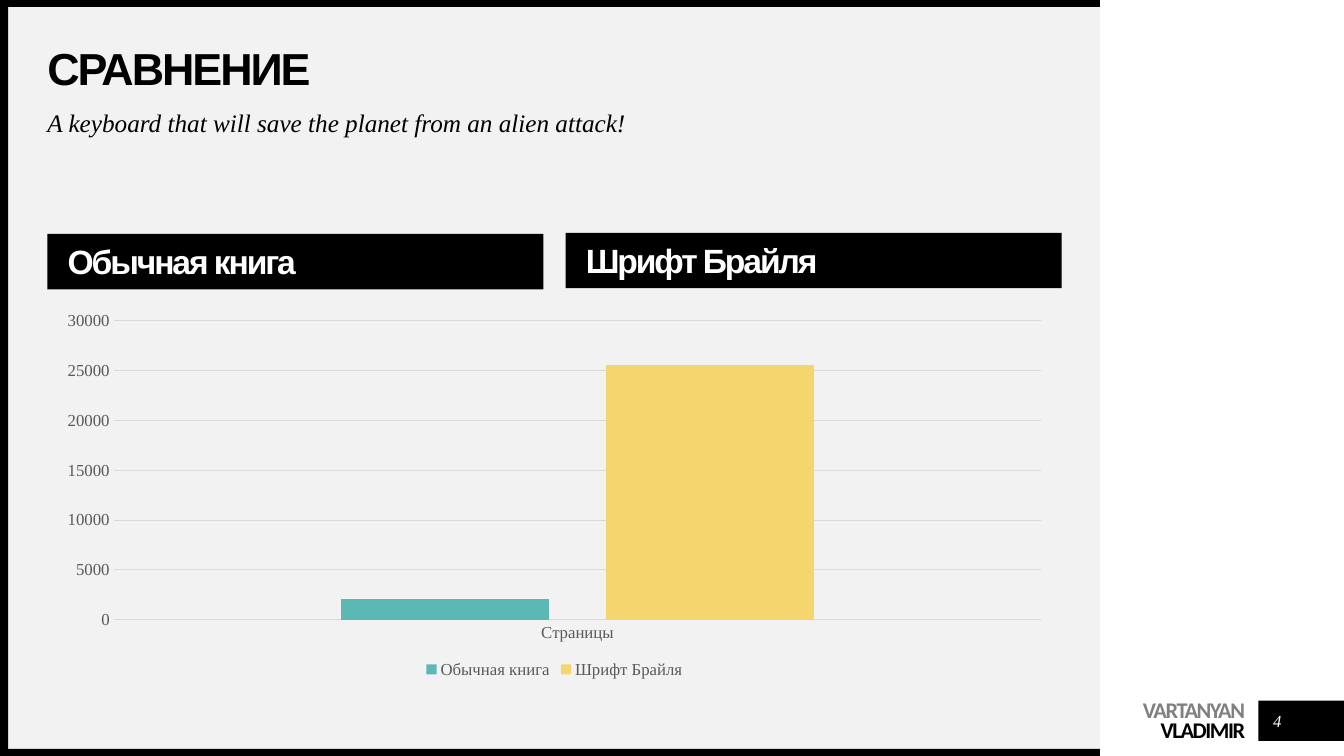
import pptx
import pptx.chart.data
import pptx.dml.color
import pptx.enum.chart
import pptx.enum.shapes
import pptx.enum.text
import pptx.util
from dataclasses import dataclass

Inches = pptx.util.Inches
Pt = pptx.util.Pt
ALIGN = pptx.enum.text.PP_ALIGN
ANCHOR = pptx.enum.text.MSO_ANCHOR


@dataclass(frozen=True)
class Theme:
    black: str = "000000"
    white: str = "FFFFFF"
    panel: str = "F2F2F2"
    muted: str = "808080"
    axis_text: str = "595959"
    grid: str = "D9D9D9"
    series: tuple = ("5CB8B3", "F5D66E")
    heading_font: str = "Arial"
    body_font: str = "Times New Roman"
    author_font: str = "Calibri"
    title_size: int = 32
    label_size: int = 24
    subtitle_size: int = 18
    author_size: int = 16
    small_size: int = 12
    tight: float = -1.5


THEME = Theme()
BOOKS = ("Обычная книга", "Шрифт Брайля")
PAGES = (2100, 25600)
SLIDE_W, SLIDE_H = 13.33, 7.5
PANEL_W = 10.91
EDGE = 0.07
CONTENT = (0.47, 0.47, 10.06, 6.3)


def rgb(value):
    return pptx.dml.color.RGBColor.from_string(value)


def add_block(slide, box, color):
    block = slide.shapes.add_shape(
        pptx.enum.shapes.MSO_SHAPE.RECTANGLE, *map(Inches, box))
    block.shadow.inherit = False
    block.fill.solid()
    block.fill.fore_color.rgb = rgb(color)
    block.line.fill.background()
    return block


def add_text_box(slide, box):
    return slide.shapes.add_textbox(*map(Inches, box))


def prepare_frame(shape, anchor=ANCHOR.TOP, left=0, top=0):
    frame = shape.text_frame
    frame.word_wrap = True
    frame.vertical_anchor = anchor
    frame.margin_left, frame.margin_top = Inches(left), Inches(top)
    frame.margin_right = frame.margin_bottom = 0
    return frame


def add_run(paragraph, text, font, size, color, bold=False, italic=False, spacing=0):
    run = paragraph.add_run()
    run.text = text
    run.font.name = font
    run.font.size = Pt(size)
    run.font.color.rgb = rgb(color)
    run.font.bold = bold
    run.font.italic = italic
    if spacing:
        run.font._element.set("spc", str(int(spacing * 100)))


def add_frame(slide):
    """Grey panel with black edges on three sides."""
    add_block(slide, (EDGE, EDGE, PANEL_W - EDGE, SLIDE_H - 2 * EDGE), THEME.panel)
    for edge in ((0, 0, PANEL_W, EDGE),
                 (0, SLIDE_H - EDGE, PANEL_W, EDGE),
                 (0, 0, 0.08, SLIDE_H)):
        add_block(slide, edge, THEME.black)


def add_footer(slide, box):
    """Author name beside the page number."""
    left, top, width, height = box
    author = prepare_frame(add_text_box(slide, (left, top, 1.82, height)), top=0.04)
    names = (("VARTANYAN", THEME.muted), ("VLADIMIR", THEME.black))
    for index, (name, color) in enumerate(names):
        line = author.add_paragraph() if index else author.paragraphs[0]
        line.alignment = ALIGN.RIGHT
        line.line_spacing = Pt(14)
        add_run(line, name, THEME.author_font, THEME.author_size, color,
                bold=True, spacing=-1)

    add_block(slide, (left + 1.95, top + 0.01, width - 1.95, 0.4), THEME.black)
    number_box = add_text_box(slide, (left + 1.99, top + 0.06, 0.3, 0.3))
    number = prepare_frame(number_box, ANCHOR.MIDDLE).paragraphs[0]
    number.alignment = ALIGN.CENTER
    add_run(number, "4", THEME.body_font, THEME.small_size, THEME.white, italic=True)


def add_heading(slide, box):
    """Title and subtitle."""
    left, top, width, _ = box
    title_box = add_text_box(slide, (left, top, width, 0.47))
    title = prepare_frame(title_box, ANCHOR.MIDDLE).paragraphs[0]
    title.line_spacing = 0.9
    add_run(title, "СРАВНЕНИЕ", THEME.heading_font, THEME.title_size, THEME.black,
            bold=True, spacing=THEME.tight)

    subtitle_box = add_text_box(slide, (left, top + 0.63, width, 0.39))
    subtitle = prepare_frame(subtitle_box).paragraphs[0]
    subtitle.line_spacing = 0.9
    add_run(subtitle, "A keyboard that will save the planet from an alien attack!",
            THEME.body_font, THEME.subtitle_size, THEME.black, italic=True)


def add_book_label(slide, box, book):
    """Black band naming one kind of book."""
    band = add_block(slide, box, THEME.black)
    label = prepare_frame(band, ANCHOR.MIDDLE, left=0.2, top=0.04).paragraphs[0]
    label.alignment = ALIGN.LEFT
    label.line_spacing = 0.9
    add_run(label, book, THEME.heading_font, THEME.label_size, THEME.white,
            bold=True, spacing=THEME.tight)


def style_chart_font(font):
    font.name = THEME.body_font
    font.size = Pt(THEME.small_size)
    font.color.rgb = rgb(THEME.axis_text)


def style_line(line):
    line.color.rgb = rgb(THEME.grid)
    line.width = Pt(0.75)


def add_pages_chart(slide, box):
    """Column chart comparing page counts."""
    data = pptx.chart.data.CategoryChartData()
    data.categories = ["Страницы"]
    for book, pages in zip(BOOKS, PAGES):
        data.add_series(book, [pages])
    chart = slide.shapes.add_chart(
        pptx.enum.chart.XL_CHART_TYPE.COLUMN_CLUSTERED, *map(Inches, box), data).chart
    chart.has_title = False
    style_chart_font(chart.font)

    plot = chart.plots[0]
    plot.vary_by_categories = False
    plot.gap_width, plot.overlap = 219, -27
    for series, color in zip(plot.series, THEME.series):
        series.format.fill.solid()
        series.format.fill.fore_color.rgb = rgb(color)

    for axis in (chart.category_axis, chart.value_axis):
        axis.major_tick_mark = pptx.enum.chart.XL_TICK_MARK.NONE
        axis.minor_tick_mark = pptx.enum.chart.XL_TICK_MARK.NONE
        style_chart_font(axis.tick_labels.font)
    style_line(chart.category_axis.format.line)
    scale = chart.value_axis
    scale.minimum_scale, scale.maximum_scale, scale.major_unit = 0, 30000, 5000
    scale.format.line.fill.background()
    style_line(scale.major_gridlines.format.line)

    chart.has_legend = True
    chart.legend.position = pptx.enum.chart.XL_LEGEND_POSITION.BOTTOM
    chart.legend.include_in_layout = False
    style_chart_font(chart.legend.font)


def add_comparison(slide, box):
    """Heading, one label per book and the chart below."""
    left, top, width, height = box
    add_heading(slide, box)
    label_w = 4.92
    step = width - label_w
    for index, book in enumerate(BOOKS):
        label_top = top + 1.85 - 0.01 * index
        add_book_label(slide, (left + index * step, label_top, label_w, 0.55), book)
    add_pages_chart(slide, (left, top + 2.55, width, height - 2.55))


def main():
    deck = pptx.Presentation()
    deck.slide_width, deck.slide_height = Inches(SLIDE_W), Inches(SLIDE_H)
    slide = deck.slides.add_slide(deck.slide_layouts[6])
    add_frame(slide)
    add_footer(slide, (10.53, 6.94, SLIDE_W - 10.53, 0.44))
    add_comparison(slide, CONTENT)
    deck.save("out.pptx")


if __name__ == "__main__":
    main()
